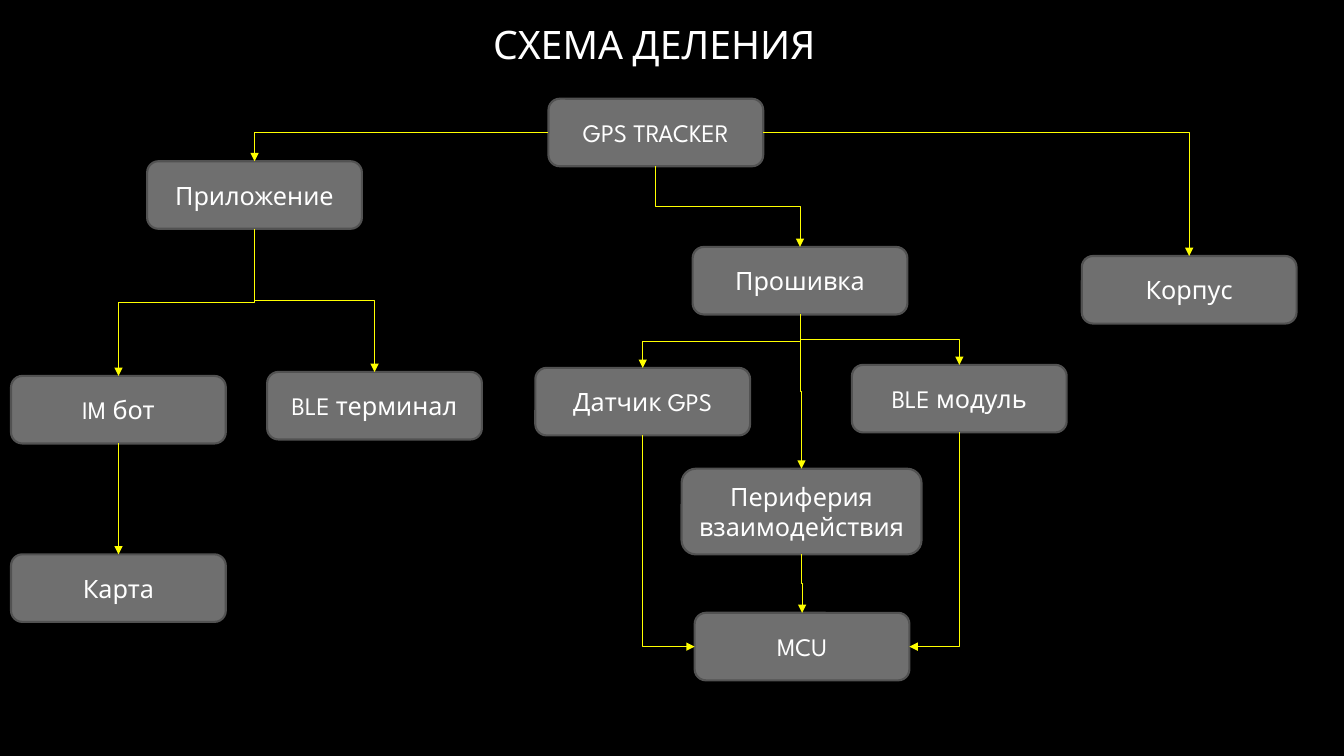
import pptx
import pptx.util
import pptx.dml.color
import pptx.enum.shapes
import pptx.enum.text
import pptx.oxml
import pptx.oxml.ns
from lxml import etree

Inches = pptx.util.Inches
RGBColor = pptx.dml.color.RGBColor
qn = pptx.oxml.ns.qn

BLACK = RGBColor(0x00, 0x00, 0x00)
WHITE = RGBColor(0xFF, 0xFF, 0xFF)
SILVER = RGBColor(0xA6, 0xA6, 0xA6)
GRAY = RGBColor(0x6F, 0x6F, 0x6F)
DARK_GRAY = RGBColor(0x52, 0x52, 0x52)
YELLOW = RGBColor(0xFF, 0xFF, 0x00)

# Connection sites of a rounded rectangle
TOP, LEFT, BOTTOM, RIGHT = range(4)

NODE_SIZE = (2.13, 0.67)
WIDE_NODE_SIZE = (2.38, 0.85)

# name: (text, left, top, size)
NODES = {
    "tracker": ("GPS TRACKER", 5.44, 0.98, NODE_SIZE),
    "app": ("Приложение", 1.46, 1.6, NODE_SIZE),
    "firmware": ("Прошивка", 6.87, 2.45, NODE_SIZE),
    "case": ("Корпус", 10.73, 2.54, NODE_SIZE),
    "bot": ("IM бот", 0.11, 3.73, NODE_SIZE),
    "terminal": ("BLE терминал", 2.65, 3.69, NODE_SIZE),
    "sensor": ("Датчик GPS", 5.31, 3.65, NODE_SIZE),
    "module": ("BLE модуль", 8.45, 3.62, NODE_SIZE),
    "periphery": ("Периферия взаимодействия", 6.76, 4.65, WIDE_NODE_SIZE),
    "map": ("Карта", 0.11, 5.5, NODE_SIZE),
    "controller": ("MCU", 6.89, 6.08, NODE_SIZE),
}

LINKS = [
    ("tracker", LEFT, "app", TOP),
    ("tracker", BOTTOM, "firmware", TOP),
    ("tracker", RIGHT, "case", TOP),
    ("app", BOTTOM, "bot", TOP),
    ("app", BOTTOM, "terminal", TOP),
    ("bot", BOTTOM, "map", TOP),
    ("firmware", BOTTOM, "sensor", TOP),
    ("firmware", BOTTOM, "module", TOP),
    ("firmware", BOTTOM, "periphery", TOP),
    ("sensor", BOTTOM, "controller", LEFT),
    ("periphery", BOTTOM, "controller", TOP),
    ("module", BOTTOM, "controller", RIGHT),
]


class DiagramSlide:
    font_name = "League Spartan"
    title_size = pptx.util.Pt(28)
    node_text_size = pptx.util.Pt(18)

    def __init__(self, presentation):
        self.slide = presentation.slides.add_slide(presentation.slide_layouts[5])
        fill = self.slide.background.fill
        fill.solid()
        fill.fore_color.rgb = BLACK

    def add_title(self, text, left, top, width, height):
        title = self.slide.shapes.title
        title.left, title.top = Inches(left), Inches(top)
        title.width, title.height = Inches(width), Inches(height)
        frame = title.text_frame
        frame.text = text
        frame.word_wrap = True
        frame.auto_size = pptx.enum.text.MSO_AUTO_SIZE.NONE
        frame.vertical_anchor = pptx.enum.text.MSO_ANCHOR.BOTTOM
        paragraph = frame.paragraphs[0]
        paragraph.alignment = pptx.enum.text.PP_ALIGN.LEFT
        font = paragraph.runs[0].font
        font.name, font.size = self.font_name, self.title_size
        font.fill.gradient()
        font.fill.gradient_angle = 267
        for stop, color in zip(font.fill.gradient_stops, (WHITE, SILVER)):
            stop.color.rgb = color

    def add_node(self, text, left, top, size):
        shape = self.slide.shapes.add_shape(
            pptx.enum.shapes.MSO_SHAPE.ROUNDED_RECTANGLE,
            Inches(left), Inches(top), *map(Inches, size))
        shape.shadow.inherit = False
        shape.fill.solid()
        shape.fill.fore_color.rgb = GRAY
        shape.line.color.rgb = DARK_GRAY
        shape.line.width = pptx.util.Pt(1.5)
        frame = shape.text_frame
        frame.text = text
        frame.word_wrap = True
        frame.vertical_anchor = pptx.enum.text.MSO_ANCHOR.MIDDLE
        paragraph = frame.paragraphs[0]
        paragraph.alignment = pptx.enum.text.PP_ALIGN.CENTER
        font = paragraph.runs[0].font
        font.name, font.size = self.font_name, self.node_text_size
        font.color.rgb = WHITE
        return shape

    def add_link(self, start, start_site, end, end_site):
        connector = self.slide.shapes.add_connector(
            pptx.enum.shapes.MSO_CONNECTOR.ELBOW, 0, 0, 0, 0)
        connector.begin_connect(start, start_site)
        connector.end_connect(end, end_site)
        self.route(connector, start_site == BOTTOM, end_site == TOP)
        connector.line.color.rgb = YELLOW
        connector.line.width = pptx.util.Pt(0.75)
        properties = connector._element.spPr
        line = properties.find(qn("a:ln"))
        etree.SubElement(line, qn("a:tailEnd"), type="triangle")
        etree.SubElement(properties, qn("a:effectLst"))

    def route(self, connector, leaves_down, arrives_down):
        """Turn the elbow so that it leaves and arrives square to the nodes."""
        begin_x, begin_y = connector.begin_x, connector.begin_y
        end_x, end_y = connector.end_x, connector.end_y
        width, height = abs(end_x - begin_x), abs(end_y - begin_y)
        goes_right = end_x > begin_x
        angle, flip = 0, not goes_right
        if leaves_down:
            width, height = height, width
            angle, flip = (270, True) if goes_right else (90, False)
        connector.left = (begin_x + end_x - width) // 2
        connector.top = (begin_y + end_y - height) // 2
        connector.width, connector.height = width, height
        properties = connector._element.spPr
        transform = properties.find(qn("a:xfrm"))
        transform.set("rot", str(angle * 60000))
        transform.set("flipH", str(int(flip)))
        transform.set("flipV", "0")
        if not (leaves_down and arrives_down):
            properties.find(qn("a:prstGeom")).set("prst", "bentConnector2")


def main():
    presentation = pptx.Presentation()
    presentation.slide_width = Inches(13.33)
    presentation.slide_height = Inches(7.5)
    diagram = DiagramSlide(presentation)
    diagram.add_title("СХЕМА ДЕЛЕНИЯ", 4.79, -0.04, 3.66, 0.76)
    nodes = {name: diagram.add_node(*node) for name, node in NODES.items()}
    for start, start_site, end, end_site in LINKS:
        diagram.add_link(nodes[start], start_site, nodes[end], end_site)
    presentation.save("out.pptx")


if __name__ == "__main__":
    main()
